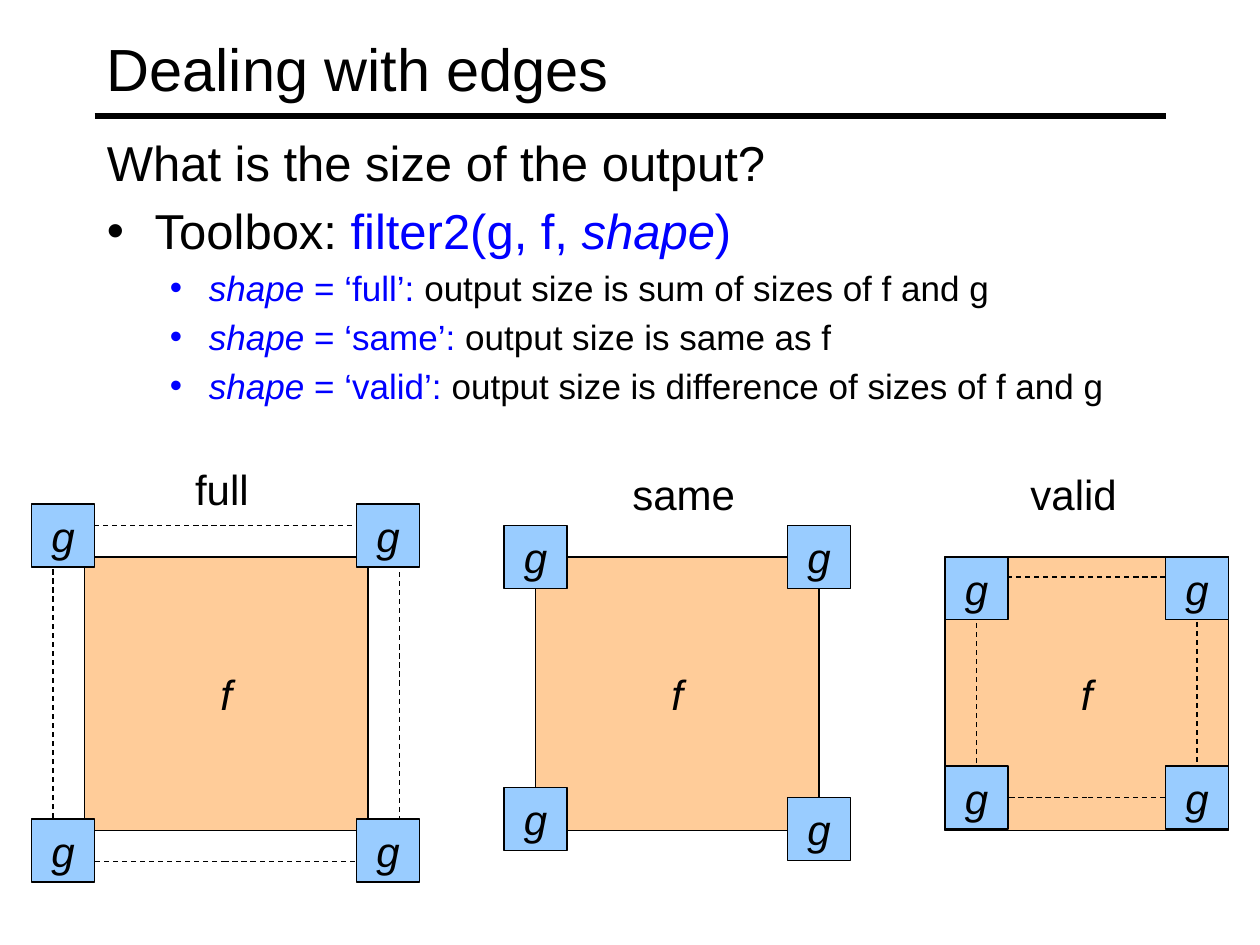
from pptx import Presentation
from pptx.dml.color import RGBColor
from pptx.enum.dml import MSO_LINE
from pptx.enum.shapes import MSO_CONNECTOR, MSO_SHAPE
from pptx.enum.text import MSO_ANCHOR, MSO_AUTO_SIZE, PP_ALIGN
from pptx.oxml.ns import qn
from pptx.util import Inches, Pt

RECT = MSO_SHAPE.RECTANGLE
STRAIGHT = MSO_CONNECTOR.STRAIGHT
DASH = MSO_LINE.DASH
GROW = MSO_AUTO_SIZE.SHAPE_TO_FIT_TEXT
MIDDLE, TOP = MSO_ANCHOR.MIDDLE, MSO_ANCHOR.TOP
CENTER, LEFT = PP_ALIGN.CENTER, PP_ALIGN.LEFT

BLACK, WHITE, BLUE = "000000", "FFFFFF", "0000FF"
PEACH, SKY = "FFCC99", "99CCFF"
TITLE = "Dealing with edges"
QUESTION = "What is the size of the output?"
CALL = [("Toolbox: ", BLACK, False), ("filter2(g, f, ", BLUE, False),
        ("shape", BLUE, True), (")", BLUE, False)]
OPTIONS = [("full", "output size is sum of sizes of f and g"),
           ("same", "output size is same as f"),
           ("valid", "output size is difference of sizes of f and g")]

F_SIZE, F_TOP, G_SIZE = (2.25, 2.17), 4.42, 0.5
DIAGRAMS = [
    {"label": ("full", 1.45, 3.63, 0.63), "f_left": 0.67,
     "under": (0.42, 4.17, 2.75, 2.67), "over": None,
     "g": [(2.83, 4), (0.25, 4), (2.83, 6.5), (0.25, 6.5)]},
    {"label": ("same", 4.92, 3.67, 1.02), "f_left": 4.25,
     "under": None, "over": None,
     "g": [(6.25, 4.17), (4, 4.17), (6.25, 6.33), (4, 6.25)]},
    {"label": ("valid", 8.08, 3.67, 0.89), "f_left": 7.5,
     "under": None, "over": (7.75, 4.58, 1.75, 1.75),
     "g": [(9.25, 4.42), (7.5, 4.42), (9.25, 6.08), (7.5, 6.08)]},
]


def rgb(value):
    """Turn a hex string into a colour."""
    return RGBColor.from_string(value)


def add_run(p, text, size, color=BLACK, italic=False):
    """Add one formatted run to a paragraph."""
    r = p.add_run()
    r.text = text
    r.font.color.rgb = rgb(color)
    for name, value in {"name": "Arial", "size": Pt(size), "italic": italic}.items():
        setattr(r.font, name, value)


def set_frame(tf, **values):
    """Set text frame attributes."""
    for name, value in values.items():
        setattr(tf, name, value)


def add_text(s, box, **values):
    """Add a text box and return its frame."""
    tf = s.shapes.add_textbox(*map(Inches, box)).text_frame
    set_frame(tf, **values)
    return tf


def add_rect(s, box, fill=None, text=None, dash=None):
    """Add an outlined rectangle with optional fill and letter."""
    sp = s.shapes.add_shape(RECT, *map(Inches, box))
    sp.shadow.inherit = False
    if fill:
        sp.fill.solid()
        sp.fill.fore_color.rgb = rgb(fill)
    else:
        sp.fill.background()
    sp.line.color.rgb = rgb(BLACK)
    sp.line.width = Pt(0.75)
    if dash:
        sp.line.dash_style = dash
    if text:
        set_frame(sp.text_frame, word_wrap=False, vertical_anchor=MIDDLE)
        p = sp.text_frame.paragraphs[0]
        p.alignment = CENTER
        add_run(p, text, 24, italic=True)


def add_rule(s):
    """Draw the line below the title."""
    line = s.shapes.add_connector(STRAIGHT, *map(Inches, (0.75, 0.92, 9.25, 0.92)))
    line.line.color.rgb = rgb(BLACK)
    line.line.width = Pt(3)
    sp_pr = line._element.spPr
    sp_pr.append(sp_pr.makeelement(qn("a:effectLst"), {}))


def add_body(s):
    """Write the question and its bullets."""
    rows = [(0, 28, None, [(QUESTION, BLACK, False)]), (0, 28, "•", CALL)]
    rows += [(1, 20, "•", [("shape", BLUE, True), (f" = ‘{name}’: ", BLUE, False),
                           (meaning, BLACK, False)]) for name, meaning in OPTIONS]
    tf = add_text(s, (0.75, 1, 8.5, 5.75), word_wrap=True, vertical_anchor=TOP)
    for i, (level, size, bullet, runs) in enumerate(rows):
        p = tf.paragraphs[0] if i == 0 else tf.add_paragraph()
        p.level, p.alignment = level, LEFT
        p.space_before = Pt(round(size * 0.2, 1) if i else 0)
        margin, indent = ((0.38, -0.38), (0.81, -0.31))[level]
        p_pr = p._p.get_or_add_pPr()
        p_pr.set("marL", str(Inches(margin)))
        p_pr.set("indent", str(Inches(indent)))
        if bullet:
            p_pr.append(p_pr.makeelement(qn("a:buFont"), {"typeface": "Arial"}))
            p_pr.append(p_pr.makeelement(qn("a:buChar"), {"char": bullet}))
        for text, color, italic in runs:
            add_run(p, text, size, color, italic)


def add_diagram(s, diagram):
    """Draw one image f with the filter g at its corners."""
    if diagram["under"]:
        add_rect(s, diagram["under"], WHITE, dash=DASH)
    add_rect(s, (diagram["f_left"], F_TOP, *F_SIZE), PEACH, "f")
    if diagram["over"]:
        add_rect(s, diagram["over"], dash=DASH)
    for corner in diagram["g"]:
        add_rect(s, (*corner, G_SIZE, G_SIZE), SKY, "g")
    text, left, top, width = diagram["label"]
    tf = add_text(s, (left, top, width, 0.5), word_wrap=False, auto_size=GROW)
    add_run(tf.paragraphs[0], text, 24)


def main():
    """Build the slide and save it."""
    prs = Presentation()
    prs.slide_width, prs.slide_height = Inches(10), Inches(7.5)
    s = prs.slides.add_slide(prs.slide_layouts[6])
    add_rule(s)
    tf = add_text(s, (0.75, 0.08, 8.5, 0.92), word_wrap=True, vertical_anchor=MIDDLE)
    add_run(tf.paragraphs[0], TITLE, 34)
    add_body(s)
    for diagram in DIAGRAMS:
        add_diagram(s, diagram)
    prs.save("out.pptx")


if __name__ == "__main__":
    main()
